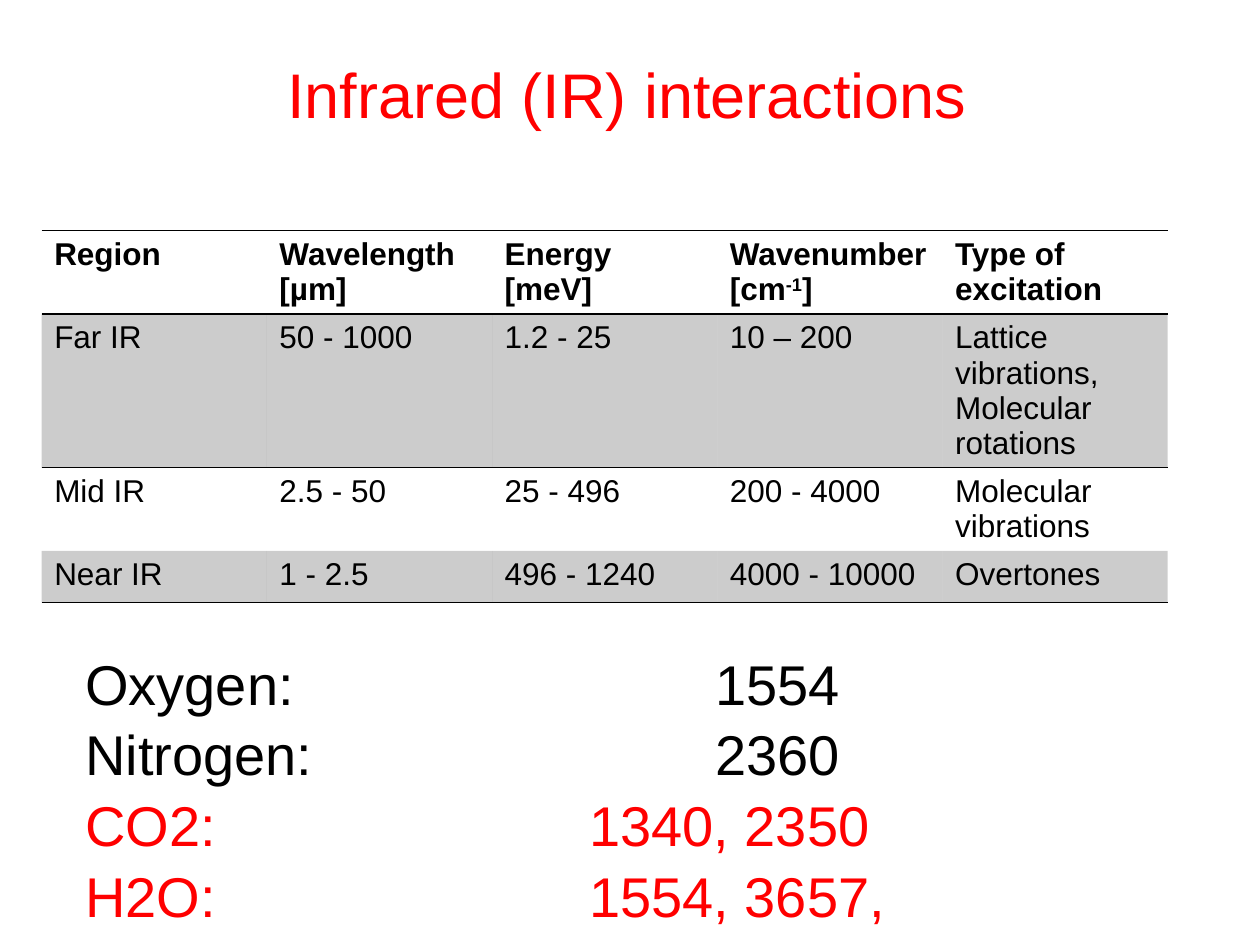
from lxml import etree
from pptx import Presentation
from pptx.dml.color import RGBColor
from pptx.enum.text import MSO_ANCHOR, PP_ALIGN
from pptx.oxml.ns import qn
from pptx.util import Cm, Pt

MIDDLE = MSO_ANCHOR.MIDDLE
CENTER = PP_ALIGN.CENTER
TITLE_ONLY = 5
PLAIN_TABLE = "{2D5ABB26-0587-4C30-8999-92F81FD0307C}"
COLORS = {"ink": "000000", "accent": "FF0000"}

REGIONS = [
    ["Region", "Wavelength [µm]", "Energy [meV]", "Wavenumber [cm^-1^]", "Type of excitation"],
    ["Far IR", "50 - 1000", "1.2 - 25", "10 – 200", "Lattice vibrations,\nMolecular rotations"],
    ["Mid IR", "2.5 - 50", "25 - 496", "200 - 4000", "Molecular vibrations"],
    ["Near IR", "1 - 2.5", "496 - 1240", "4000 - 10000", "Overtones"],
]
GASES = [
    ("Oxygen:", "1554", 12.7, "ink"),
    ("Nitrogen:", "2360", 12.7, "ink"),
    ("CO2:", "1340, 2350", 10.16, "accent"),
    ("H2O:", "1554, 3657,", 10.16, "accent"),
]


class Slide:
    font = "Arial"

    def __init__(self, deck):
        self.page = deck.slides.add_slide(deck.slide_layouts[TITLE_ONLY])

    def style(self, span, size, color="ink", bold=False):
        span.font.name = self.font
        span.font.size = Pt(size)
        span.font.bold = bold
        span.font.color.rgb = RGBColor.from_string(COLORS[color])

    def title(self, text, left, top, width, height):
        box = self.page.shapes.title
        box.left, box.top, box.width, box.height = Cm(left), Cm(top), Cm(width), Cm(height)
        box.text_frame.text = text
        box.text_frame.vertical_anchor = MIDDLE
        para = box.text_frame.paragraphs[0]
        para.alignment = CENTER
        para.line_spacing = 0.9
        self.style(para.runs[0], 36, "accent")

    def border(self, cell, side):
        line = etree.Element(qn(f"a:ln{side}"), w=str(Pt(1)))
        fill = etree.SubElement(line, qn("a:solidFill"))
        etree.SubElement(fill, qn("a:srgbClr"), val=COLORS["ink"])
        properties = cell._tc.get_or_add_tcPr()
        properties.insert(len(properties.findall(qn("a:lnT"))), line)

    def shade(self, cell, percent):
        cell.fill.solid()
        cell.fill.fore_color.rgb = RGBColor.from_string(COLORS["ink"])
        color = cell._tc.tcPr.find(".//" + qn("a:solidFill") + "/" + qn("a:srgbClr"))
        etree.SubElement(color, qn("a:alpha"), val=str(percent * 1000))

    def cell_text(self, cell, text, bold):
        cell.text_frame.text = text.split("^")[0]
        for part, position in zip(text.split("^")[1:], ("30000", "0")):
            span = cell.text_frame.paragraphs[0].add_run()
            span.text = part
            span._r.get_or_add_rPr().set("baseline", position)
        for para in cell.text_frame.paragraphs:
            for span in para.runs:
                self.style(span, 18, bold=bold)

    def table(self, rows, left, top, column_width, row_height):
        columns = len(rows[0])
        frame = self.page.shapes.add_table(
            len(rows), columns, Cm(left), Cm(top),
            Cm(column_width * columns), Cm(row_height * len(rows)))
        frame._element.xpath(".//a:tableStyleId")[0].text = PLAIN_TABLE
        grid = frame.table
        for column in grid.columns:
            column.width = Cm(column_width)
        for r, row in enumerate(rows):
            grid.rows[r].height = Cm(row_height)
            for c, text in enumerate(row):
                cell = grid.cell(r, c)
                self.cell_text(cell, text, bold=r == 0)
                if r % 2:
                    self.shade(cell, 20)
                else:
                    cell.fill.background()
                if r < 2:
                    self.border(cell, "T")
                if r in (0, len(rows) - 1):
                    self.border(cell, "B")

    def tabbed_list(self, items, left, top, width, height):
        box = self.page.shapes.add_textbox(Cm(left), Cm(top), Cm(width), Cm(height))
        frame = box.text_frame
        frame.word_wrap = True
        frame.text = "\n".join(f"{name}\t{value}" for name, value, _, _ in items)
        for para, (_, _, stop, color) in zip(frame.paragraphs, items):
            tabs = etree.SubElement(para._p.get_or_add_pPr(), qn("a:tabLst"))
            etree.SubElement(tabs, qn("a:tab"), pos=str(Cm(stop)), algn="l")
            para.line_spacing = 1.05
            for span in para.runs:
                self.style(span, 32, color)


def main():
    deck = Presentation()
    deck.slide_width, deck.slide_height = Cm(25.4), Cm(19.05)
    slide = Slide(deck)
    slide.title("Infrared (IR) interactions", 1.3, 0.64, 22.68, 2.69)
    slide.table(REGIONS, 0.84, 4.65, 4.54, 1.04)
    slide.tabbed_list(GASES, 1.47, 12.9, 16.79, 5.74)
    deck.save("out.pptx")


if __name__ == "__main__":
    main()
